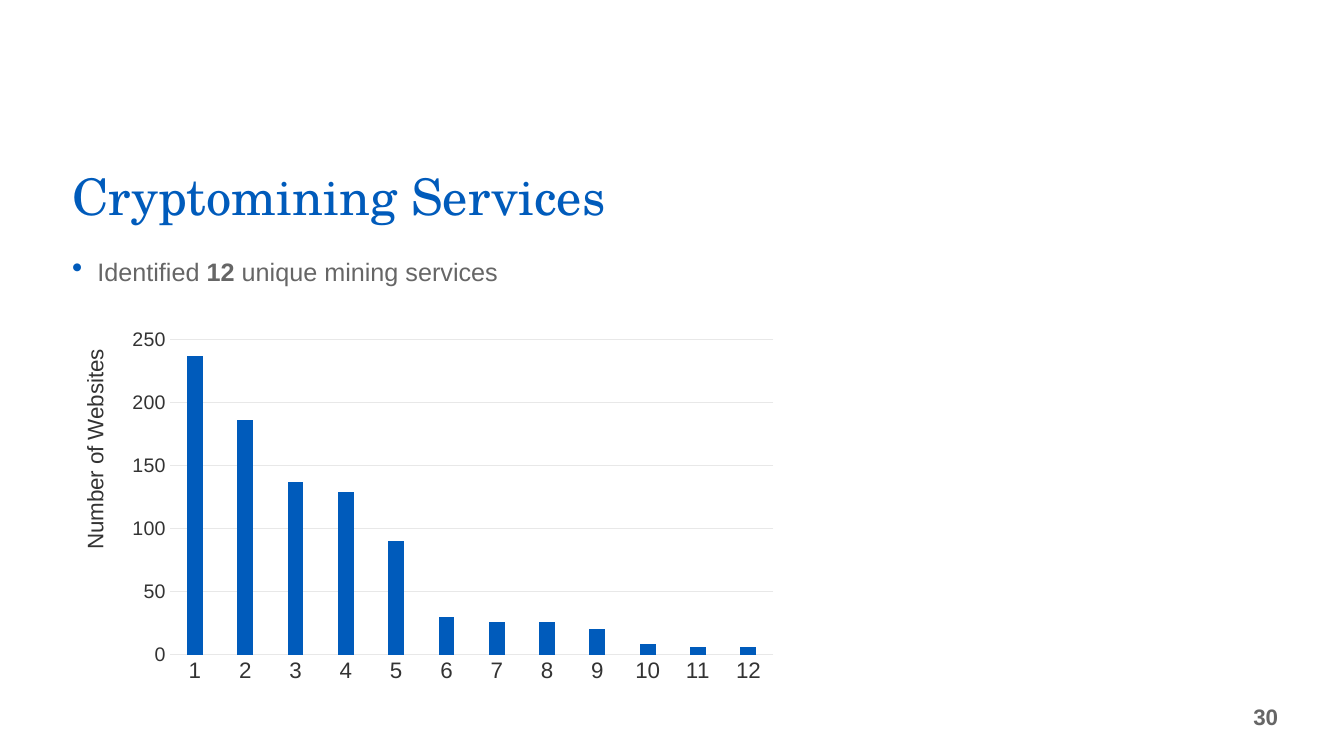
"""Build the slide on cryptomining services."""
from dataclasses import dataclass
from typing import Any

from lxml import etree
from pptx import Presentation
from pptx import util as u
from pptx.chart.data import CategoryChartData
from pptx.dml.color import RGBColor
from pptx.enum import chart as ch, text
from pptx.oxml import parse_xml
from pptx.oxml.ns import nsdecls, qn

HUES = {"blue": "005BBB", "gray": "666666", "dark": "333333", "rule": "E8E8E8"}
TITLE = {"name": "TeX Gyre Schola", "size": 36, "hue": "blue"}
BODY = {"name": "Arial", "size": 18, "hue": "gray"}
PAGE = {"name": "Arial", "size": 16, "hue": "gray", "bold": True}
LABEL = {"name": "Arial", "size": 16, "hue": "dark", "bold": False}
SITES = [237, 186, 137, 129, 90, 30, 26, 26, 20, 8, 6, 6]


@dataclass
class Deck:
    slide: Any
    hues: dict

    def tint(self, hue):
        return RGBColor.from_string(self.hues[hue])

    def style(self, font, form):
        for key, val in form.items():
            if key == "hue":
                font.color.rgb = self.tint(val)
            else:
                setattr(font, key, u.Pt(val) if key == "size" else val)

    def text(self, box, runs, form, anchor="TOP", **para):
        frame = self.slide.shapes.add_textbox(*map(u.Cm, box)).text_frame
        frame.word_wrap = True
        frame.vertical_anchor = getattr(text.MSO_ANCHOR, anchor)
        par = frame.paragraphs[0]
        for key, val in para.items():
            setattr(par, key, val)
        for words, extra in runs:
            run = par.add_run()
            run.text = words
            self.style(run.font, {**form, **extra})
        return par

    def bullet(self, par, hue):
        props = par._p.get_or_add_pPr()
        props.set("marL", str(u.Cm(0.635)))
        props.set("indent", str(u.Cm(-0.635)))
        tint = etree.SubElement(props, qn("a:buClr"))
        etree.SubElement(tint, qn("a:srgbClr"), val=self.hues[hue])
        etree.SubElement(props, qn("a:buSzPct"), val="120000")
        etree.SubElement(props, qn("a:buChar"), char="•")

    def line(self, line, hue):
        line.color.rgb = self.tint(hue)
        line.width = u.Pt(0.75)

    def place(self, node, spot, **sizes):
        for old in node.findall(qn("c:layout")):
            node.remove(old)
        parts = "".join(f'<c:{key} val="{val}"/>' for key, val in sizes.items())
        node.insert(spot, parse_xml(
            f'<c:layout {nsdecls("c")}><c:manualLayout>{parts}'
            "</c:manualLayout></c:layout>"))

    def chart(self, box, name, vals):
        data = CategoryChartData()
        data.categories = [str(n + 1) for n in range(len(vals))]
        data.add_series("Series 1", vals)
        chart = self.slide.shapes.add_chart(
            ch.XL_CHART_TYPE.COLUMN_CLUSTERED, *map(u.Cm, box), data).chart
        chart.has_legend = chart.has_title = False
        self.style(chart.font, {**BODY, "size": 10})
        plot = chart.plots[0]
        for key, val in {"gap_width": 219, "overlap": -27,
                         "vary_by_categories": False}.items():
            setattr(plot, key, val)
        fill = plot.series[0].format.fill
        fill.solid()
        fill.fore_color.rgb = self.tint("blue")
        self.axes(chart, name)
        self.place(chart._chartSpace.chart.plotArea, 0, layoutTarget="inner",
                   xMode="edge", yMode="edge", x=0.148, y=0.049, w=0.832, h=0.854)

    def axes(self, chart, name):
        cat, val = chart.category_axis, chart.value_axis
        for axis, size in ((cat, 16), (val, 14)):
            axis.major_tick_mark = axis.minor_tick_mark = ch.XL_TICK_MARK.NONE
            self.style(axis.tick_labels.font, {**LABEL, "size": size})
        self.line(cat.format.line, "rule")
        val.format.line.fill.background()
        for key, num in {"minimum_scale": 0, "maximum_scale": 250,
                         "major_unit": 50}.items():
            setattr(val, key, num)
        self.line(val.major_gridlines.format.line, "rule")
        title = val.axis_title
        frame = title.text_frame
        frame.text = name
        frame._txBody.bodyPr.set("rot", "-5400000")
        frame._txBody.bodyPr.set("vert", "horz")
        self.style(frame.paragraphs[0].runs[0].font, LABEL)
        self.place(title._element, 1, xMode="edge", yMode="edge", x=0.02, y=0.065)


def main():
    show = Presentation()
    show.slide_width, show.slide_height = u.Cm(33.87), u.Cm(19.05)
    deck = Deck(show.slides.add_slide(show.slide_layouts[6]), HUES)
    left, wide = 1.57, 19.3
    deck.text((left, 4.17, wide, 1.65), [("Cryptomining Services", {})], TITLE,
              "BOTTOM", line_spacing=0.9)
    deck.text((21.03, 17.55, 11.43, 1.02), [("30", {})], PAGE, "MIDDLE",
              alignment=text.PP_ALIGN.RIGHT)
    deck.chart((left, 8.1, 18.29, 9.3), "Number of Websites", SITES)
    par = deck.text((left, 6.1, wide, 11.02),
                    [("Identified ", {}), ("12", {"bold": True}),
                     (" unique mining services", {})], BODY, line_spacing=1.3)
    deck.bullet(par, "blue")
    show.save("out.pptx")


if __name__ == "__main__":
    main()
